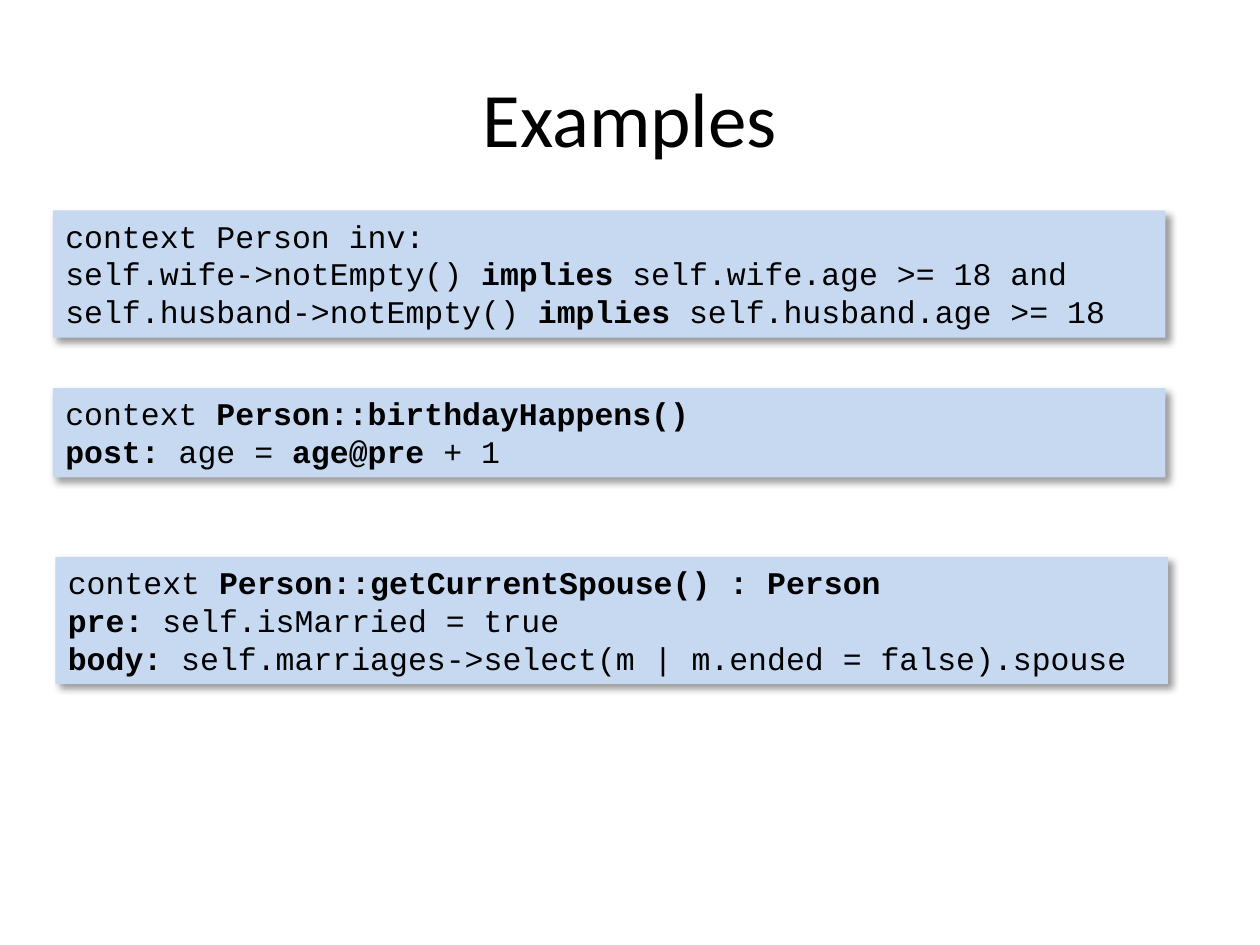
import pptx
import pptx.util
import pptx.dml.color
import pptx.enum.shapes
import pptx.enum.text
import pptx.oxml
import pptx.oxml.ns

Inches = pptx.util.Inches
Pt = pptx.util.Pt
ALIGN = pptx.enum.text.PP_ALIGN
ANCHOR = pptx.enum.text.MSO_ANCHOR
BLACK = pptx.dml.color.RGBColor(0x00, 0x00, 0x00)
PALE_BLUE = pptx.dml.color.RGBColor(0xC6, 0xD9, 0xF1)

SHADOW = (
    f'<a:effectLst {pptx.oxml.ns.nsdecls("a")}>'
    f'<a:outerShdw blurRad="{Pt(4)}" dist="{Pt(3)}" dir="{45 * 60000}" algn="tl" rotWithShape="0">'
    '<a:srgbClr val="000000"><a:alpha val="40000"/></a:srgbClr>'
    '</a:outerShdw></a:effectLst>'
)

BOX_WIDTH = 8.83
# Left, top, height and lines of each box; text between asterisks is bold.
CODE_BOXES = [
    (0.42, 1.67, 1.01, [
        "context Person inv:",
        "self.wife->notEmpty() *implies *self.wife.age >= 18 and",
        "self.husband->notEmpty() *implies *self.husband.age >= 18",
    ]),
    (0.42, 3.08, 0.71, [
        "context *Person::birthdayHappens() *",
        "*post: *age = *age@pre* + 1",
    ]),
    (0.44, 4.42, 1.01, [
        "context *Person::getCurrentSpouse() : Person*",
        "*pre: *self.isMarried = true",
        "*body: *self.marriages->select(m | m.ended = false).spouse",
    ]),
]


class SlideBuilder:
    """Holds the text styles and the current slide."""

    title_font = {"name": "Calibri", "size": Pt(44)}
    code_font = {"name": "Courier New", "size": Pt(18)}

    def __init__(self, slide):
        """Keep the slide to draw on."""
        self.slide = slide

    def set_text(self, shape, lines, font, alignment, anchor):
        """Fill a shape with lines, switching bold at each asterisk."""
        frame = shape.text_frame
        frame.word_wrap = True
        frame.vertical_anchor = anchor
        for index, line in enumerate(lines):
            paragraph = frame.add_paragraph() if index else frame.paragraphs[0]
            paragraph.alignment = alignment
            for position, text in enumerate(line.split("*")):
                if not text:
                    continue
                run = paragraph.add_run()
                run.text = text
                for name, value in {**font, "bold": position % 2 == 1}.items():
                    setattr(run.font, name, value)
                run.font.color.rgb = BLACK

    def title(self, text, left, top, width, height):
        """Add the centred slide title."""
        shape = self.slide.shapes.add_textbox(
            Inches(left), Inches(top), Inches(width), Inches(height))
        self.set_text(shape, [text], self.title_font, ALIGN.CENTER, ANCHOR.MIDDLE)

    def code_box(self, lines, left, top, width, height):
        """Add a shaded code box with a soft shadow."""
        shape = self.slide.shapes.add_shape(
            pptx.enum.shapes.MSO_SHAPE.RECTANGLE,
            Inches(left), Inches(top), Inches(width), Inches(height))
        shape.fill.solid()
        shape.fill.fore_color.rgb = PALE_BLUE
        shape.line.fill.background()
        shape.shadow.inherit = False
        properties = shape.element.spPr
        empty_effects = properties.find(pptx.oxml.ns.qn("a:effectLst"))
        properties.replace(empty_effects, pptx.oxml.parse_xml(SHADOW))
        self.set_text(shape, lines, self.code_font, ALIGN.LEFT, ANCHOR.TOP)
        shape.text_frame.auto_size = pptx.enum.text.MSO_AUTO_SIZE.SHAPE_TO_FIT_TEXT


def main():
    """Build and save the slide."""
    presentation = pptx.Presentation()
    presentation.slide_width = Inches(10)
    presentation.slide_height = Inches(7.5)
    builder = SlideBuilder(presentation.slides.add_slide(presentation.slide_layouts[6]))
    builder.title("Examples", 0.5, 0.3, 9, 1.25)
    for left, top, height, lines in CODE_BOXES:
        builder.code_box(lines, left, top, BOX_WIDTH, height)
    presentation.save("out.pptx")


main()
